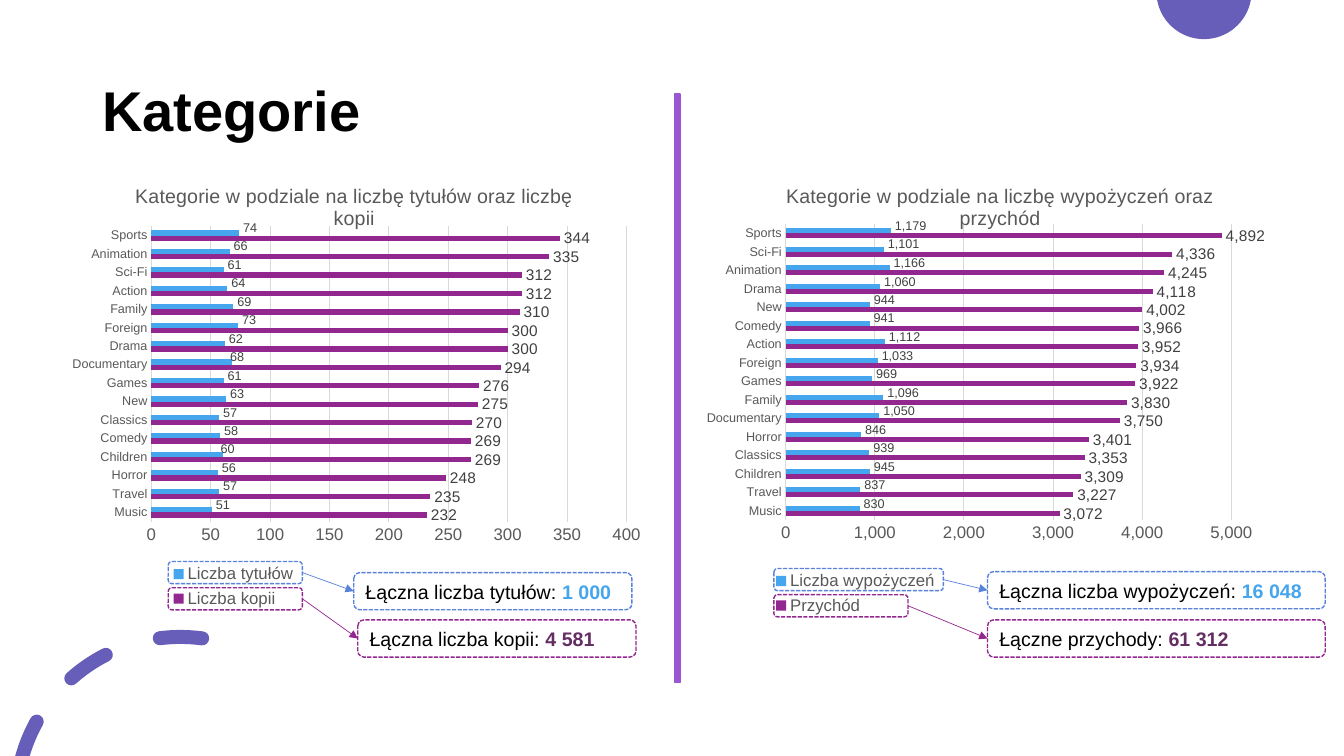
import math

import pptx
import pptx.chart.data
import pptx.dml.color
import pptx.enum.chart
import pptx.enum.dml
import pptx.enum.shapes
import pptx.enum.text
import pptx.oxml.ns
import pptx.util

Pt, RGB = pptx.util.Pt, pptx.dml.color.RGBColor
SHAPES, CHART = pptx.enum.shapes.MSO_SHAPE, pptx.enum.chart
qn, A_NS, C_NS = pptx.oxml.ns.qn, pptx.oxml.ns.nsdecls("a"), pptx.oxml.ns.nsdecls("c")
FONT = "Arial"
BLACK, WHITE = RGB(0x00, 0x00, 0x00), RGB(0xFF, 0xFF, 0xFF)
INDIGO, VIOLET = RGB(0x66, 0x5E, 0xB8), RGB(0x9B, 0x57, 0xD3)
BLUE, BLUE_EDGE = RGB(0x45, 0xA5, 0xED), RGB(0x59, 0x82, 0xDB)
PURPLE, PLUM = RGB(0x92, 0x27, 0x8F), RGB(0x63, 0x2E, 0x62)
GRID, AXIS_TEXT, LABEL_TEXT = RGB(0xD9, 0xD9, 0xD9), RGB(0x59, 0x59, 0x59), RGB(0x40, 0x40, 0x40)

TITLES_PANEL = dict(
    title="Kategorie w podziale na liczbę tytułów oraz liczbę kopii",
    categories=["Music", "Travel", "Horror", "Children", "Comedy", "Classics", "New", "Games",
                "Documentary", "Drama", "Foreign", "Family", "Action", "Sci-Fi", "Animation", "Sports"],
    series=[("Liczba kopii", [232, 235, 248, 269, 269, 270, 275, 276, 294, 300, 300, 310, 312, 312, 335, 344]),
            ("Liczba tytułów", [51, 57, 56, 60, 58, 57, 63, 61, 68, 62, 73, 69, 64, 61, 66, 74])],
    number_format="General", axis_max=400, axis_step=50, gap=150, shifted_labels=("Children", "Documentary"),
    plot_area=(0.164, 0.132, 0.787, 0.638), legend_area=(0.18, 0.85, 0.24, 0.12),
    totals=[("Łączna liczba tytułów: ", "1 000", (82.8, 283, 95.8, 15.8), (215.3, 290.9, 198.7, 26.6)),
            ("Łączna liczba kopii: ", "4 581", (82.8, 301.7, 95.8, 15.8), (218.2, 324.7, 198.7, 26.6))])
RENTALS_PANEL = dict(
    title="Kategorie w podziale na liczbę wypożyczeń oraz przychód",
    categories=["Music", "Travel", "Children", "Classics", "Horror", "Documentary", "Family", "Games",
                "Foreign", "Action", "Comedy", "New", "Drama", "Animation", "Sci-Fi", "Sports"],
    series=[("Przychód", [3072, 3227, 3309, 3353, 3401, 3750, 3830, 3922,
                          3934, 3952, 3966, 4002, 4118, 4245, 4336, 4892]),
            ("Liczba wypożyczeń", [830, 837, 945, 939, 846, 1050, 1096, 969,
                                   1033, 1112, 941, 944, 1060, 1166, 1101, 1179])],
    number_format="#,##0", axis_max=5500, axis_step=1000, gap=182, shifted_labels=(),
    plot_area=(0.165, 0.127, 0.766, 0.64), legend_area=(0.134, 0.865, 0.28, 0.12),
    totals=[("Łączna liczba wypożyczeń: ", "16 048", (67, 288, 121, 15.8), (219.6, 290.2, 241.2, 26.6)),
            ("Łączne przychody: ", "61 312", (67, 306.7, 95.8, 15.8), (219.6, 324.7, 241.2, 26.6))])

def set_font(font, size, color, bold=False):
    font.name, font.size, font.bold = FONT, Pt(size), bold
    font.color.rgb = color

def add_run(paragraph, text, size, color, bold=False):
    run = paragraph.add_run()
    run.text = text
    set_font(run.font, size, color, bold)

def paint(shape, fill=None, edge=None):
    shape.shadow.inherit = False
    for part, color in ((shape.fill, fill), (shape.line.fill, edge)):
        if color is None:
            part.background()
        else:
            part.solid()
            part.fore_color.rgb = color
    if edge is not None:
        shape.line.width = Pt(1)

def set_layout(element, index, area, extra=""):
    """Place a chart part by fractions of the chart's width and height."""
    for old in element.findall(qn("c:layout")):
        element.remove(old)
    sizes = "".join(f'<c:{key} val="{value}"/>' for key, value in zip("xywh", area))
    element.insert(index, pptx.oxml.parse_xml(
        f"<c:layout {C_NS}><c:manualLayout>{extra}{sizes}</c:manualLayout></c:layout>"))

def raise_labels(series, panel):
    """Lift each value label above the middle of its bar."""
    for index in range(len(panel["categories"])):
        label = series.points[index].data_label
        set_font(label.font, 9, LABEL_TEXT)
        label.position = CHART.XL_LABEL_POSITION.OUTSIDE_END
    for category, label in zip(panel["categories"], series._element.iter(qn("c:dLbl"))):
        set_layout(label, 1, (-0.01 if category in panel["shifted_labels"] else 0, -0.01))

def add_category_chart(slide, box, panel):
    data = pptx.chart.data.CategoryChartData(number_format=panel["number_format"])
    data.categories = panel["categories"]
    for name, values in panel["series"]:
        data.add_series(name, values)
    chart = slide.shapes.add_chart(CHART.XL_CHART_TYPE.BAR_CLUSTERED, *map(Pt, box), data).chart
    set_font(chart.font, 10, BLACK)
    add_run(chart.chart_title.text_frame.paragraphs[0], panel["title"], 14, AXIS_TEXT)
    chart.chart_title.include_in_layout = False

    values_axis = chart.value_axis
    for axis, size in ((chart.category_axis, 9), (values_axis, 12)):
        axis.major_tick_mark = axis.minor_tick_mark = CHART.XL_TICK_MARK.NONE
        set_font(axis.tick_labels.font, size, AXIS_TEXT)
    values_axis.minimum_scale, values_axis.maximum_scale = 0, panel["axis_max"]
    values_axis.major_unit = panel["axis_step"]
    values_axis.format.line.fill.background()
    for line in (chart.category_axis.format.line, values_axis.major_gridlines.format.line):
        line.color.rgb, line.width = GRID, Pt(0.75)

    plot = chart.plots[0]
    plot.gap_width, plot.overlap, plot.vary_by_categories = panel["gap"], 0, False
    for series, color, size in zip(plot.series, (PURPLE, BLUE), (11, 9)):
        series.format.fill.solid()
        series.format.fill.fore_color.rgb = color
        labels = series.data_labels
        labels.show_value, labels.position = True, CHART.XL_LABEL_POSITION.OUTSIDE_END
        set_font(labels.font, size, LABEL_TEXT)
    for numbers in (values_axis.tick_labels, *(series.data_labels for series in plot.series)):
        numbers.number_format, numbers.number_format_is_linked = panel["number_format"], False
    raise_labels(plot.series[1], panel)

    chart.has_legend = True
    legend = chart.legend
    legend.position, legend.include_in_layout = CHART.XL_LEGEND_POSITION.BOTTOM, False
    set_font(legend.font, 12, AXIS_TEXT)
    edges = '<c:xMode val="edge"/><c:yMode val="edge"/>'
    set_layout(legend._element, 1, panel["legend_area"], edges)
    set_layout(plot._element.getparent(), 0, panel["plot_area"], '<c:layoutTarget val="inner"/>' + edges)

def add_dashed_box(slide, box, edge, fill=None):
    frame = slide.shapes.add_shape(SHAPES.ROUNDED_RECTANGLE, *map(Pt, box))
    paint(frame, fill, edge)
    frame.line.dash_style = pptx.enum.dml.MSO_LINE.SQUARE_DOT
    return frame

def add_total(slide, marker_box, total_box, text, amount, edge, amount_color):
    """Frame a legend entry and point an arrow from it to its total."""
    total = add_dashed_box(slide, total_box, edge, WHITE)
    total.text_frame.word_wrap = True
    paragraph = total.text_frame.paragraphs[0]
    paragraph.alignment = pptx.enum.text.PP_ALIGN.LEFT
    add_run(paragraph, text, 14, BLACK)
    add_run(paragraph, amount, 14, amount_color, True)
    marker = add_dashed_box(slide, marker_box, edge)
    arrow = slide.shapes.add_connector(pptx.enum.shapes.MSO_CONNECTOR.STRAIGHT, 0, 0, 0, 0)
    arrow.begin_connect(marker, 3)
    arrow.end_connect(total, 1)
    arrow.line.color.rgb, arrow.line.width = edge, Pt(0.5)
    arrow.line._get_or_add_ln().append(pptx.oxml.parse_xml(f'<a:tailEnd {A_NS} type="triangle"/>'))
    arrow._element.spPr.append(pptx.oxml.parse_xml(f"<a:effectLst {A_NS}/>"))

def add_panel(slide, box, panel):
    add_category_chart(slide, box, panel)
    colors = ((BLUE_EDGE, BLUE), (PURPLE, PLUM))
    for (text, amount, *boxes), (edge, color) in zip(panel["totals"], colors):
        marker_box, total_box = [(box[0] + x, box[1] + y, w, h) for x, y, w, h in boxes]
        add_total(slide, marker_box, total_box, text, amount, edge, color)

def arc(cx, cy, radius, start, end, pieces=1):
    """Bézier points of an arc, with degrees running clockwise from the left."""
    step = math.radians(end - start) / pieces
    pull, points = 4 / 3 * math.tan(step / 4), []
    for i in range(pieces):
        a, b = [math.radians(start) + step * n for n in (i, i + 1)]
        for angle, shift in ((a, 0), (a, pull), (b, -pull), (b, 0))[min(i, 1):]:
            points.append((cx + radius * (shift * math.sin(angle) - math.cos(angle)),
                           cy - radius * (shift * math.cos(angle) + math.sin(angle))))
    return points

def add_ornament(slide, outlines):
    """Fill curved outlines as one shape; every three points make one curve."""
    outlines = [[(Pt(x), Pt(y)) for x, y in outline] for outline in outlines]
    builder = slide.shapes.build_freeform(*outlines[0][0])
    for number, (first, *rest) in enumerate(outlines):
        if number:
            builder.move_to(*first)
        builder.add_line_segments(rest, close=True)
    ornament = builder.convert_to_shape()
    paint(ornament, INDIGO)
    lines = list(ornament._element.iter(qn("a:lnTo")))
    for i in range(0, len(lines), 3):
        curve = pptx.oxml.parse_xml(f"<a:cubicBezTo {A_NS}/>")
        lines[i].addprevious(curve)
        for line in lines[i:i + 3]:
            curve.append(line[0])
            line.getparent().remove(line)

def add_ornaments(slide):
    add_ornament(slide, [arc(860, -6, 34, -10.16, -169.84, 2)])
    cx, cy, radius, half = 128.9, 572.4, 117.4, 5
    dashes = []
    for outer_start, inner_start, end in ((15.35, 16.75, 29), (48.4, 48.4, 63), (82.8, 82.8, 97.6)):
        tip = arc(cx, cy, radius, end, end)[0]
        dash = arc(cx, cy, radius + half, outer_start, end) + arc(*tip, half, end, end + 180, 2)[1:]
        dash += arc(cx, cy, radius - half, end, inner_start)[1:]
        if outer_start == inner_start:
            tail = arc(cx, cy, radius, inner_start, inner_start)[0]
            dash += arc(*tail, half, inner_start + 180, inner_start + 360, 2)[1:]
        dashes.append(dash)
    add_ornament(slide, dashes)

def add_heading(slide, box, text):
    frame = slide.shapes.add_textbox(*map(Pt, box)).text_frame
    frame.word_wrap, frame.vertical_anchor = True, pptx.enum.text.MSO_ANCHOR.MIDDLE
    frame.paragraphs[0].line_spacing = 0.9
    add_run(frame.paragraphs[0], text, 40, BLACK, True)

def main():
    deck = pptx.Presentation()
    deck.slide_width, deck.slide_height = Pt(960), Pt(540)
    slide = deck.slides.add_slide(deck.slide_layouts[6])
    add_ornaments(slide)
    add_heading(slide, (66, 28.8, 828, 104.4), "Kategorie")
    add_panel(slide, (37.4, 118.1, 431.3, 330.5), TITLES_PANEL)
    add_panel(slide, (485.8, 118.1, 457.2, 330.5), RENTALS_PANEL)
    paint(slide.shapes.add_shape(SHAPES.RECTANGLE, *map(Pt, (482, 67.2, 3.8, 420.4))), VIOLET, VIOLET)
    deck.save("out.pptx")

if __name__ == "__main__":
    main()
